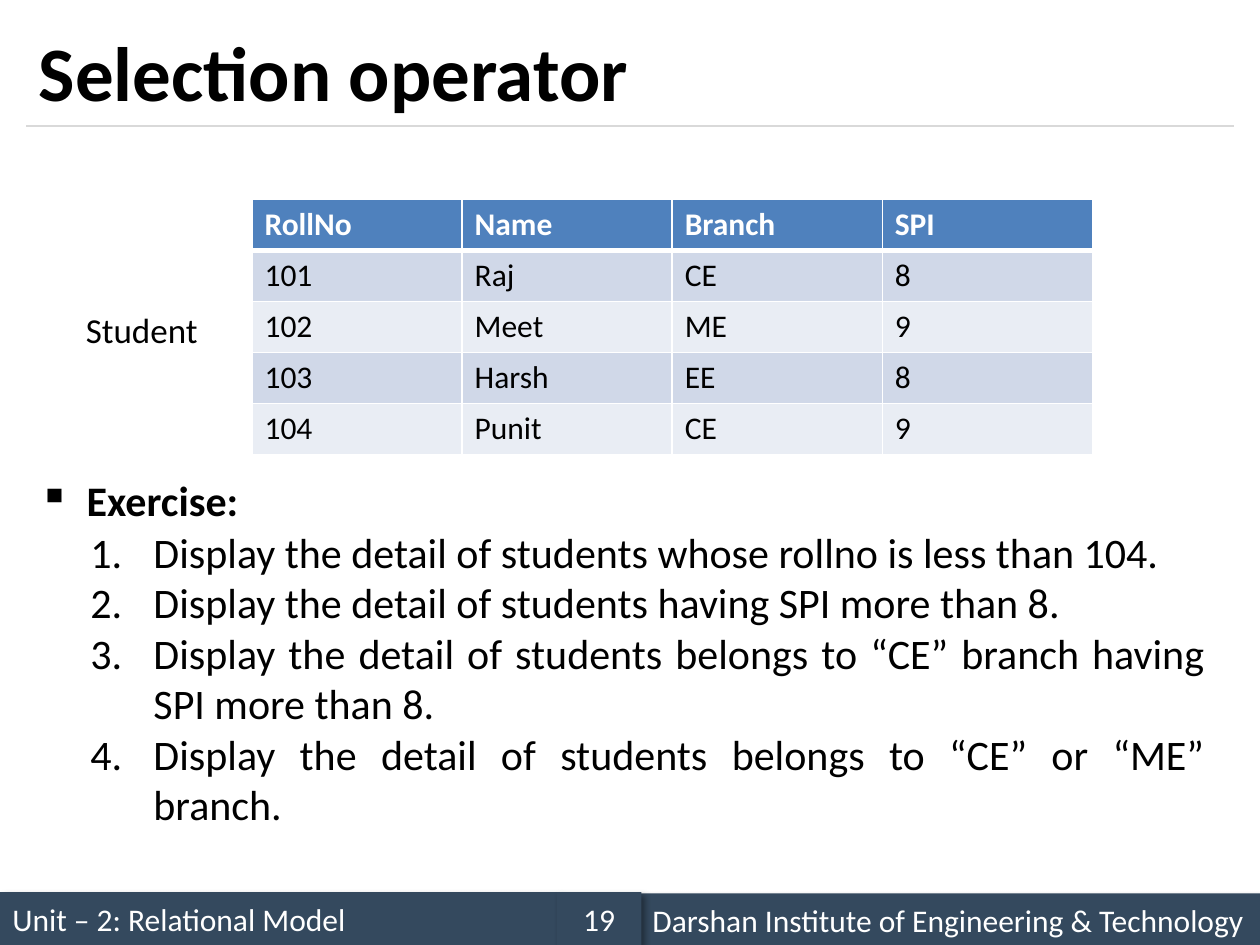
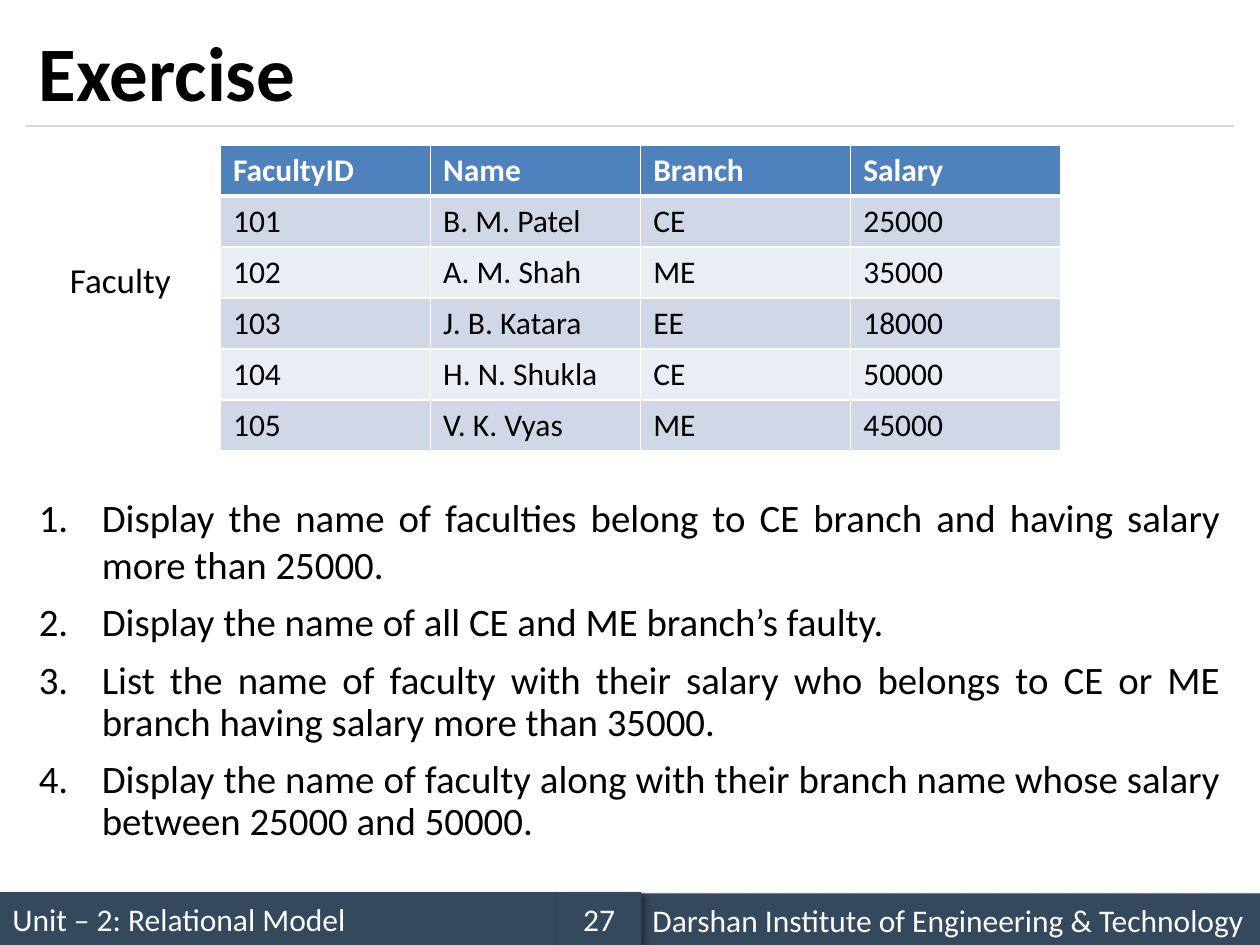
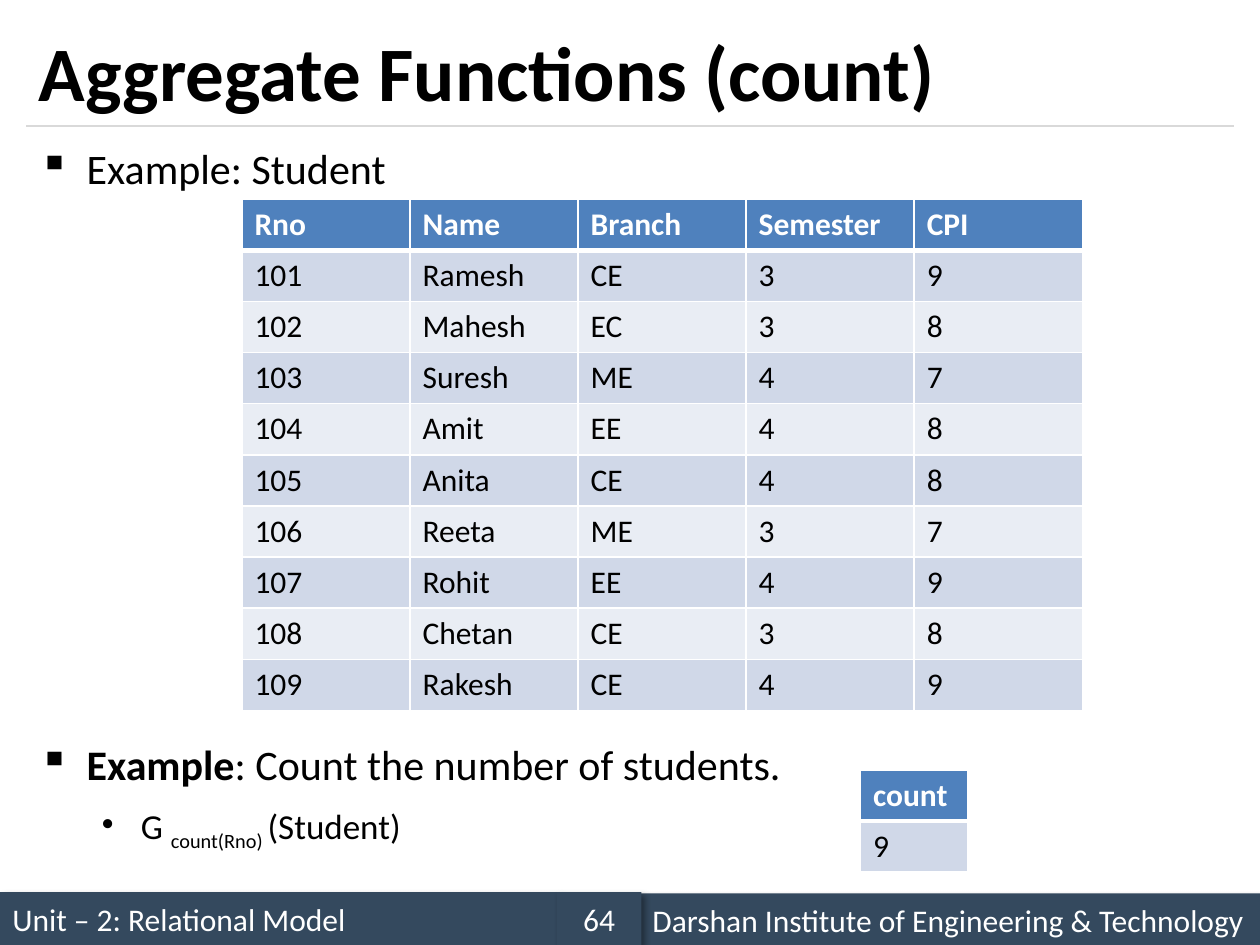
from dataclasses import dataclass

from lxml import etree
from pptx import Presentation
from pptx.dml.color import RGBColor
from pptx.enum.shapes import MSO_CONNECTOR, MSO_SHAPE
from pptx.enum.text import MSO_ANCHOR, PP_ALIGN
from pptx.oxml.ns import qn
from pptx.util import Inches, Pt

RECTANGLE = MSO_SHAPE.RECTANGLE
STRAIGHT = MSO_CONNECTOR.STRAIGHT
MIDDLE, TOP = MSO_ANCHOR.MIDDLE, MSO_ANCHOR.TOP
LEFT, CENTER, JUSTIFY = PP_ALIGN.LEFT, PP_ALIGN.CENTER, PP_ALIGN.JUSTIFY


@dataclass(frozen=True)
class Theme:
    font: str = "Calibri"
    ink: str = "000000"
    paper: str = "FFFFFF"
    rule: str = "D9D9D9"
    footer: str = "34495E"
    header: str = "4F81BD"
    bands: tuple = ("D0D8E8", "E9EDF4")
    title_size: float = 44
    body_size: float = 24
    exercise_size: float = 22.2
    label_size: float = 20
    small_size: float = 18
    paragraph_gap: float = 9


THEME = Theme()
UNIT = "Unit – 2: Relational Model"
INSTITUTE = "Darshan Institute of Engineering & Technology"


def inches(box):
    return [Inches(length) for length in box]


def color(value):
    return RGBColor.from_string(value)


def add_child(parent, tag, **attributes):
    child = etree.SubElement(parent, qn(tag))
    for key, value in attributes.items():
        child.set(key, str(value))
    return child


def style(paragraph, size, ink=THEME.ink, bold=False, align=LEFT):
    paragraph.alignment = align
    font = paragraph.font
    font.name, font.size, font.bold = THEME.font, Pt(size), bold
    font.color.rgb = color(ink)


def bullet(paragraph, hanging, left=None, char=None):
    properties = paragraph._p.get_or_add_pPr()
    properties.set("marL", str(Inches(hanging if left is None else left)))
    properties.set("indent", str(-Inches(hanging)))
    if char:
        add_child(properties, "a:buChar", char=char)
    else:
        add_child(properties, "a:buFont", typeface="+mj-lt")
        add_child(properties, "a:buAutoNum", type="arabicPeriod")


def text_frame(slide, box, anchor=TOP):
    frame = slide.shapes.add_textbox(*inches(box)).text_frame
    frame.word_wrap = True
    frame.vertical_anchor = anchor
    return frame


def add_line(slide, box, text, size, anchor=TOP, **look):
    paragraph = text_frame(slide, box, anchor).paragraphs[0]
    paragraph.text = text
    style(paragraph, size, **look)


def add_topic(slide, box, bold_text="", text=""):
    frame = text_frame(slide, box)
    paragraph = frame.paragraphs[0]
    bullet(paragraph, 0.38, char="▪")
    style(paragraph, THEME.body_size)
    for part, bold in ((bold_text, True), (text, False)):
        if part:
            run = paragraph.add_run()
            run.text, run.font.bold = part, bold
    return frame


def add_numbered(slide, box, questions, size, gap=0, first_spacing=1.0, spacing=1.0):
    frame = text_frame(slide, box)
    for index, question in enumerate(questions):
        paragraph = frame.add_paragraph() if index else frame.paragraphs[0]
        paragraph.text = question
        bullet(paragraph, 0.5)
        paragraph.line_spacing = spacing if index else first_spacing
        paragraph.space_before = Pt(gap if index else 0)
        style(paragraph, size, align=JUSTIFY)


def add_borders(cell, bottom):
    properties = cell._tc.get_or_add_tcPr()
    for side, width in (("L", 1), ("R", 1), ("T", 1), ("B", bottom)):
        border = add_child(properties, f"a:ln{side}", w=Pt(width))
        add_child(add_child(border, "a:solidFill"), "a:srgbClr", val=THEME.paper)


def add_relation(slide, box, rows):
    relation = slide.shapes.add_table(len(rows), len(rows[0]), *inches(box)).table
    relation.horz_banding = False
    for row_index, row in enumerate(rows):
        heading = row_index == 0
        fill = THEME.header if heading else THEME.bands[(row_index - 1) % 2]
        for column_index, value in enumerate(row):
            cell = relation.cell(row_index, column_index)
            add_borders(cell, 3 if heading else 1)
            cell.fill.solid()
            cell.fill.fore_color.rgb = color(fill)
            paragraph = cell.text_frame.paragraphs[0]
            paragraph.text = value
            style(paragraph, THEME.small_size, THEME.paper if heading else THEME.ink, heading)


def add_footer_band(slide, box, text, align=LEFT):
    band = slide.shapes.add_shape(RECTANGLE, *inches(box))
    band.fill.solid()
    band.fill.fore_color.rgb = color(THEME.footer)
    band.line.fill.background()
    band.shadow.inherit = False
    shadow = add_child(band._element.spPr.find(qn("a:effectLst")), "a:outerShdw",
                       blurRad=Pt(4), dist=Pt(3), dir=45 * 60000, algn="tl", rotWithShape=0)
    add_child(add_child(shadow, "a:srgbClr", val=THEME.ink), "a:alpha", val=40000)
    band.text_frame.word_wrap = True
    band.text_frame.vertical_anchor = MIDDLE
    paragraph = band.text_frame.paragraphs[0]
    paragraph.text = text
    style(paragraph, THEME.small_size, THEME.paper, align=align)


def add_frame(deck, title, page):
    slide = deck.slides.add_slide(deck.slide_layouts[6])
    add_footer_band(slide, (0, 7.08, 4.42, 0.42), UNIT)
    rule = slide.shapes.add_connector(STRAIGHT, *inches((0.21, 1, 9.79, 1)))
    rule.line.color.rgb = color(THEME.rule)
    rule.line.width = Pt(0.75)
    add_child(rule._element.spPr, "a:effectLst")
    add_footer_band(slide, (5.08, 7.09, 4.92, 0.42), INSTITUTE)
    add_footer_band(slide, (4.42, 7.08, 0.67, 0.42), page, CENTER)
    add_line(slide, (0.21, 0.12, 9.58, 0.88), title, THEME.title_size, MIDDLE, bold=True)
    return slide


def selection_slide(deck):
    slide = add_frame(deck, "Selection operator", "19")
    add_topic(slide, (0.21, 3.72, 9.58, 0.5), "Exercise:")
    add_relation(slide, (2, 1.58, 6.67, 2.03), [
        ("RollNo", "Name", "Branch", "SPI"),
        ("101", "Raj", "CE", "8"),
        ("102", "Meet", "ME", "9"),
        ("103", "Harsh", "EE", "8"),
        ("104", "Punit", "CE", "9"),
    ])
    add_numbered(slide, (0.62, 4.13, 9.04, 2.52), [
        "Display the detail of students whose rollno is less than 104.",
        "Display the detail of students having SPI more than 8.",
        "Display the detail of students belongs to “CE” branch having SPI more than 8.",
        "Display the detail of students belongs to “CE” or “ME” branch.",
    ], THEME.body_size)
    add_line(slide, (0.5, 2.4, 1.25, 0.44), "Student", THEME.label_size, align=CENTER)


def exercise_slide(deck):
    slide = add_frame(deck, "Exercise", "27")
    add_numbered(slide, (0.21, 3.87, 9.58, 3.13), [
        "Display the name of faculties belong to CE branch and having salary more than 25000.",
        "Display the name of all CE and ME branch’s faulty.",
        "List the name of faculty with their salary who belongs to CE or ME branch "
        "having salary more than 35000.",
        "Display the name of faculty along with their branch name whose salary "
        "between 25000 and 50000.",
    ], THEME.exercise_size, THEME.paragraph_gap, spacing=0.9)
    add_relation(slide, (1.75, 1.15, 6.67, 2.43), [
        ("FacultyID", "Name", "Branch", "Salary"),
        ("101", "B. M. Patel", "CE", "25000"),
        ("102", "A. M. Shah", "ME", "35000"),
        ("103", "J. B. Katara", "EE", "18000"),
        ("104", "H. N. Shukla", "CE", "50000"),
        ("105", "V. K. Vyas", "ME", "45000"),
    ])
    add_line(slide, (0.33, 2, 1.25, 0.44), "Faculty", THEME.label_size, align=CENTER)


def add_count_example(slide, box):
    frame = add_topic(slide, box, "Example", ": Count the number of students.")
    expression = frame.add_paragraph()
    expression.level = 1
    bullet(expression, 0.31, 0.81, "•")
    expression.space_before = Pt(THEME.paragraph_gap)
    style(expression, THEME.label_size)
    for part, baseline in (("G ", 0), ("count(Rno) ", -25000), ("(Student)", 0)):
        run = expression.add_run()
        run.text = part
        if baseline:
            run._r.get_or_add_rPr().set("baseline", str(baseline))


def count_slide(deck):
    slide = add_frame(deck, "Aggregate Functions (count)", "64")
    add_topic(slide, (0.21, 1.08, 9.58, 0.5), text="Example: Student")
    add_count_example(slide, (0.21, 5.81, 6.5, 1.1))
    add_relation(slide, (1.92, 1.58, 6.67, 4.06), [
        ("Rno", "Name", "Branch", "Semester", "CPI"),
        ("101", "Ramesh", "CE", "3", "9"),
        ("102", "Mahesh", "EC", "3", "8"),
        ("103", "Suresh", "ME", "4", "7"),
        ("104", "Amit", "EE", "4", "8"),
        ("105", "Anita", "CE", "4", "8"),
        ("106", "Reeta", "ME", "3", "7"),
        ("107", "Rohit", "EE", "4", "9"),
        ("108", "Chetan", "CE", "3", "8"),
        ("109", "Rakesh", "CE", "4", "9"),
    ])
    add_relation(slide, (6.83, 6.11, 0.85, 0.81), [("count",), ("9",)])


def main():
    deck = Presentation()
    deck.slide_width, deck.slide_height = Inches(10), Inches(7.5)
    selection_slide(deck)
    exercise_slide(deck)
    count_slide(deck)
    deck.save("out.pptx")


if __name__ == "__main__":
    main()
